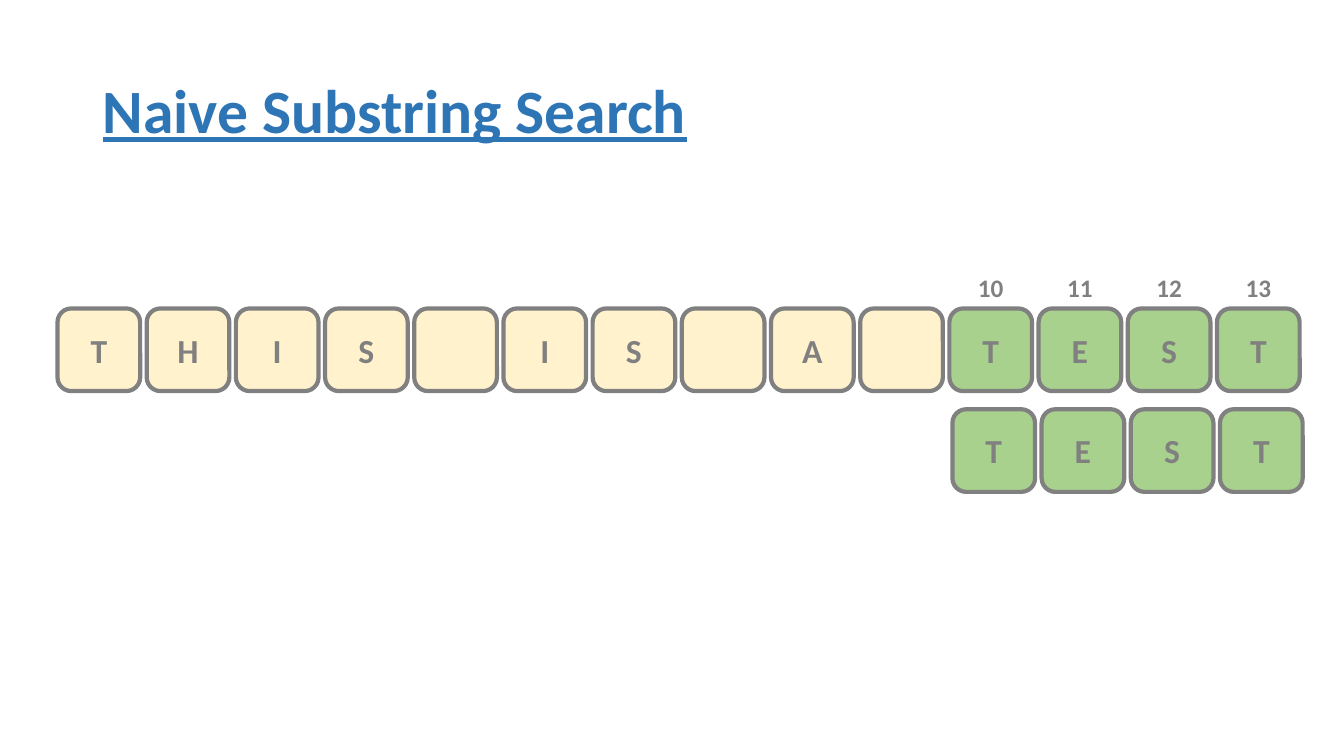
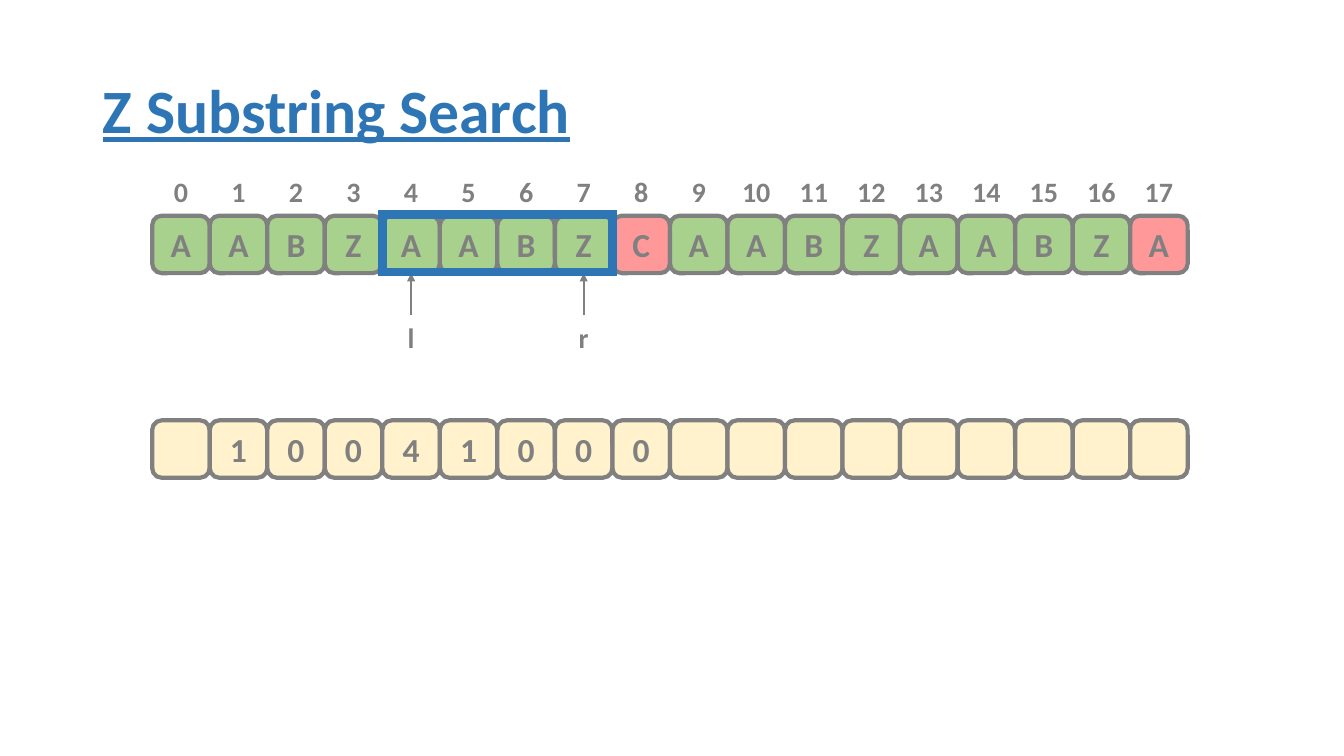
from pptx import Presentation, util as u
from pptx.dml.color import RGBColor
from pptx.enum import shapes, text
from pptx.oxml.ns import qn
from lxml import etree

BLUE, GREY = "2E75B6", "808080"
CREAM, GREEN, RED = "FFF2CC", "A9D18E", "FF9999"
FONT = "Calibri"


def colour(code):
    return RGBColor.from_string(code)


def inches(*lengths):
    return [u.Inches(length) for length in lengths]


def write(frame, words, size=24, ink=GREY, align=text.PP_ALIGN.CENTER,
          underline=False, spacing=1.0, margin=0, wrap=False):
    """Fill a text frame with one bold, vertically centred paragraph."""
    frame.word_wrap = wrap
    frame.auto_size = text.MSO_AUTO_SIZE.NONE
    frame.vertical_anchor = text.MSO_ANCHOR.MIDDLE
    frame.margin_left = frame.margin_right = u.Inches(margin)
    frame.margin_top = frame.margin_bottom = u.Inches(margin / 2)
    para = frame.paragraphs[0]
    para.alignment, para.line_spacing = align, spacing
    span = para.add_run()
    span.text = words
    font = span.font
    font.name, font.size, font.bold, font.underline = FONT, u.Pt(size), True, underline
    font.color.rgb = colour(ink)


def titled_page(deck, title):
    page = deck.slides.add_slide(deck.slide_layouts[5])
    holder = page.shapes.title
    holder.left, holder.top, holder.width, holder.height = inches(0.92, 0.4, 11.5, 1.45)
    write(holder.text_frame, title, size=44, ink=BLUE, align=text.PP_ALIGN.LEFT,
          underline=True, spacing=0.9, margin=0.1, wrap=True)
    return page


def label(page, box, words, **style):
    write(page.shapes.add_textbox(*inches(*box)).text_frame, words, **style)


def outlined(page, kind, box, line, weight, fill=None):
    shape = page.shapes.add_shape(kind, *inches(*box))
    shape.shadow.inherit = False
    if fill:
        shape.fill.solid()
        shape.fill.fore_color.rgb = colour(fill)
    else:
        shape.fill.background()
    shape.line.color.rgb = colour(line)
    shape.line.width = u.Pt(weight)
    etree.SubElement(shape.line._get_or_add_ln(), qn("a:miter"), lim="800000")
    return shape


def cell_row(page, left, top, side, step, letters, fills):
    """Draw one rounded cell per letter; a space leaves its cell empty."""
    for column, (letter, fill) in enumerate(zip(letters, fills)):
        box = (left + column * step, top, side, side)
        cell = outlined(page, shapes.MSO_SHAPE.ROUNDED_RECTANGLE, box, GREY, 3, fill)
        if letter.strip():
            write(cell.text_frame, letter)


def index_row(page, left, top, side, step, height, columns, size):
    for column in columns:
        label(page, (left + column * step, top, side, height), str(column), size=size)


def pointer(page, middle, tip, length, name):
    """Draw an upward arrow with its name below the foot."""
    foot = tip + length
    arrow = page.shapes.add_connector(shapes.MSO_CONNECTOR.STRAIGHT,
                                      *inches(middle, foot, middle, tip))
    arrow.line.color.rgb = colour(GREY)
    arrow.line.width = u.Pt(1.5)
    etree.SubElement(arrow.line._get_or_add_ln(), qn("a:tailEnd"), type="triangle")
    etree.SubElement(arrow._element.spPr, qn("a:effectLst"))
    label(page, (middle - 0.15, foot, 0.3, 0.44), name, size=20)


def naive_search(deck):
    page = titled_page(deck, "Naive Substring Search")
    phrase, pattern = "THIS IS A TEST", "TEST"
    left, top, side = 0.57, 3.06, 0.82
    step = 11.5 / (len(phrase) - 1)
    match = len(phrase) - len(pattern)
    matched = [GREEN] * len(pattern)
    cell_row(page, left, top, side, step, phrase, [CREAM] * match + matched)
    cell_row(page, left + match * step + 0.03, top + 1, side, step, pattern, matched)
    index_row(page, left, top - 0.41, side, step, 0.4, range(match, len(phrase)), 18)


def z_search(deck):
    page = titled_page(deck, "Z Substring Search")
    letters, z_values = "AABZAABZCAABZAABZA", " 10041000"
    left, top, side = 1.51, 2.14, 0.57
    step = 9.7 / (len(letters) - 1)
    fills = [GREEN] * len(letters)
    fills[8] = fills[17] = RED
    cell_row(page, left, top, side, step, letters, fills)
    index_row(page, left, top - 0.46, side, step, 0.44, range(len(letters)), 20)
    cell_row(page, left, top + 2.03, side, step, z_values.ljust(len(letters)),
             [CREAM] * len(letters))
    first, last = 4, 7
    for column, name in ((first, "l"), (last, "r")):
        pointer(page, left + column * step + side / 2, top + side, 0.42, name)
    window = (left + first * step, top - 0.01, (last - first + 1) * step, side)
    outlined(page, shapes.MSO_SHAPE.RECTANGLE, window, BLUE, 6)


def main():
    deck = Presentation()
    deck.slide_width, deck.slide_height = inches(13.33, 7.5)
    naive_search(deck)
    z_search(deck)
    deck.save("out.pptx")


if __name__ == "__main__":
    main()
